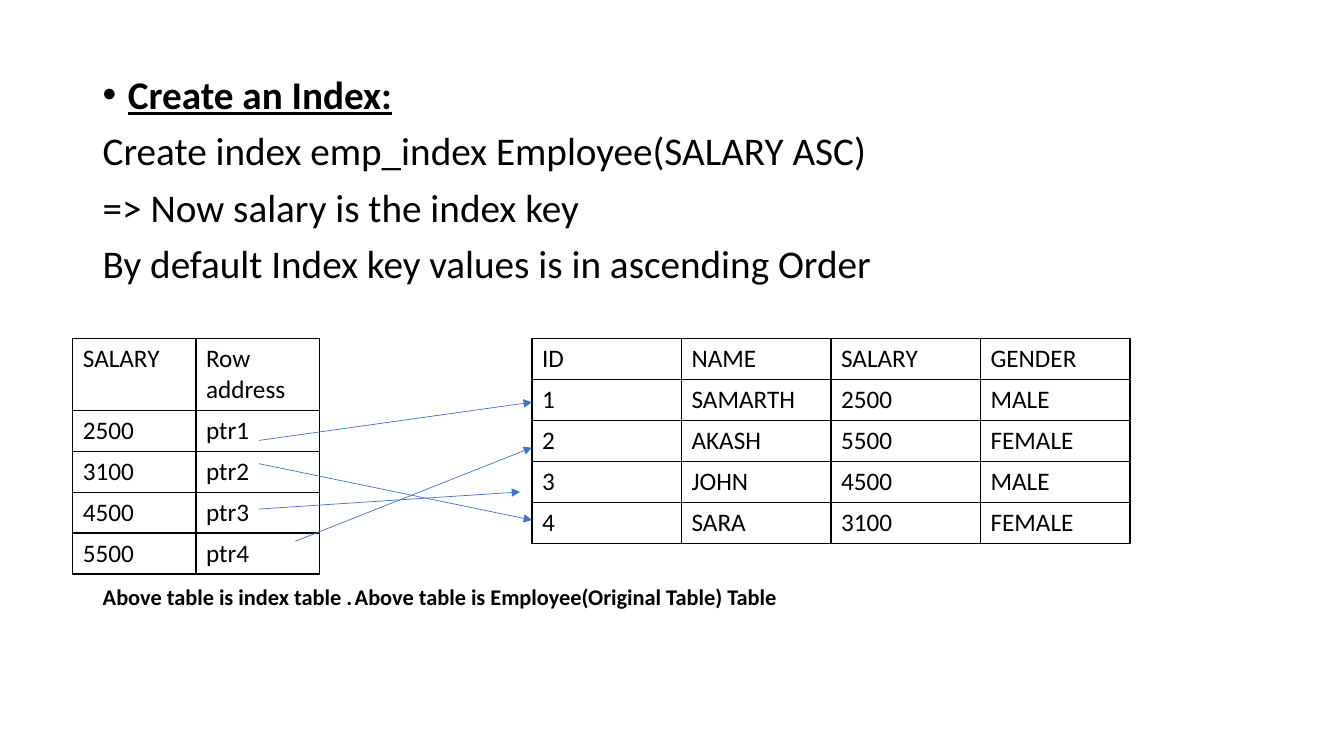
from lxml.etree import SubElement
from pptx import Presentation
from pptx.dml.color import RGBColor
from pptx.enum.shapes import MSO_CONNECTOR
from pptx.enum.text import MSO_ANCHOR, MSO_AUTO_SIZE
from pptx.oxml.ns import qn
from pptx.util import Pt

BLACK = RGBColor(0x00, 0x00, 0x00)
BLUE = RGBColor(0x44, 0x72, 0xC4)
FONT = "Calibri"
ROW_H = 29.2
TABLE_TOP = 242


def add_run(p, text, size, bold=False, underline=False):
    r = p.add_run()
    r.text = text
    r.font.name = FONT
    r.font.size = Pt(size)
    r.font.bold = bold
    r.font.underline = underline
    r.font.color.rgb = BLACK


def add_grid(s, left, col_w, header_h, rows):
    """Add an unfilled table with thin black borders."""
    height = header_h + ROW_H * (len(rows) - 1)
    frame = s.shapes.add_table(len(rows), len(rows[0]), Pt(left), Pt(TABLE_TOP),
                               Pt(col_w * len(rows[0])), Pt(height))
    table = frame.table
    table.first_row = False
    table.horz_banding = False
    for col in table.columns:
        col.width = Pt(col_w)
    for i, values in enumerate(rows):
        table.rows[i].height = Pt(ROW_H if i else header_h)
        for j, value in enumerate(values):
            cell = table.cell(i, j)
            add_run(cell.text_frame.paragraphs[0], value, 18)
            tc_pr = cell._tc.get_or_add_tcPr()
            for side in ("a:lnL", "a:lnR", "a:lnT", "a:lnB"):
                ln = SubElement(tc_pr, qn(side), w=str(Pt(1)))
                fill = SubElement(ln, qn("a:solidFill"))
                SubElement(fill, qn("a:srgbClr"), val=str(BLACK))
            cell.fill.background()


prs = Presentation()
prs.slide_width, prs.slide_height = Pt(960), Pt(540)
s = prs.slides.add_slide(prs.slide_layouts[1])
title = s.shapes.title
title._element.getparent().remove(title._element)

# Statement and table captions
body = s.placeholders[1]
body.left, body.top, body.width, body.height = Pt(66.2), Pt(50.4), Pt(828), Pt(436.3)
tf = body.text_frame
tf.word_wrap = True
tf.auto_size = MSO_AUTO_SIZE.NONE
tf.vertical_anchor = MSO_ANCHOR.TOP

# text, size, bold, underline, space before
LINES = [
    ("Create an Index:", 28, True, True, 10),
    ("Create index emp_index Employee(SALARY ASC)", 28, False, False, 10),
    ("=> Now salary is the index key", 28, False, False, 10),
    ("By default Index key values is in ascending Order", 28, False, False, 10),
    ("Above table is index table .\tAbove table is Employee(Original Table) Table",
     16, True, False, 213.8),
]
for i, (text, size, bold, underline, before) in enumerate(LINES):
    p = tf.paragraphs[0] if i == 0 else tf.add_paragraph()
    p.line_spacing = 0.9
    p.space_before = Pt(before)
    add_run(p, text, size, bold, underline)
    p_pr = p._p.get_or_add_pPr()
    indent = 0 if i else 18
    p_pr.set("marL", str(Pt(indent)))
    p_pr.set("indent", str(Pt(-indent)))
    if indent:
        SubElement(p_pr, qn("a:buFont"), typeface="Arial")
        SubElement(p_pr, qn("a:buChar"), char="•")
    else:
        SubElement(p_pr, qn("a:buNone"))
    if "\t" in text:
        tabs = SubElement(p_pr, qn("a:tabLst"))
        SubElement(tabs, qn("a:tab"), pos=str(Pt(336.5)), algn="l")

# Index table and employee table
add_grid(s, 52, 88, 51.1, [
    ("SALARY", "Row address"),
    ("2500", "ptr1"),
    ("3100", "ptr2"),
    ("4500", "ptr3"),
    ("5500", "ptr4"),
])
add_grid(s, 380, 106.8, ROW_H, [
    ("ID", "NAME", "SALARY", "GENDER"),
    ("1", "SAMARTH", "2500", "MALE"),
    ("2", "AKASH", "5500", "FEMALE"),
    ("3", "JOHN", "4500", "MALE"),
    ("4", "SARA", "3100", "FEMALE"),
])

# Pointers from index rows to employee rows
POINTERS = [
    (185, 314.6, 380, 287.3),
    (185, 331.2, 380, 371.5),
    (185, 363.6, 371.5, 351.4),
    (211, 386.6, 380, 319.7),
]
for ends in POINTERS:
    arrow = s.shapes.add_connector(MSO_CONNECTOR.STRAIGHT, *map(Pt, ends))
    arrow.line.color.rgb = BLUE
    arrow.line.width = Pt(0.5)
    SubElement(arrow.line._get_or_add_ln(), qn("a:tailEnd"), type="triangle")
    SubElement(arrow._element.spPr, qn("a:effectLst"))

prs.save("out.pptx")
